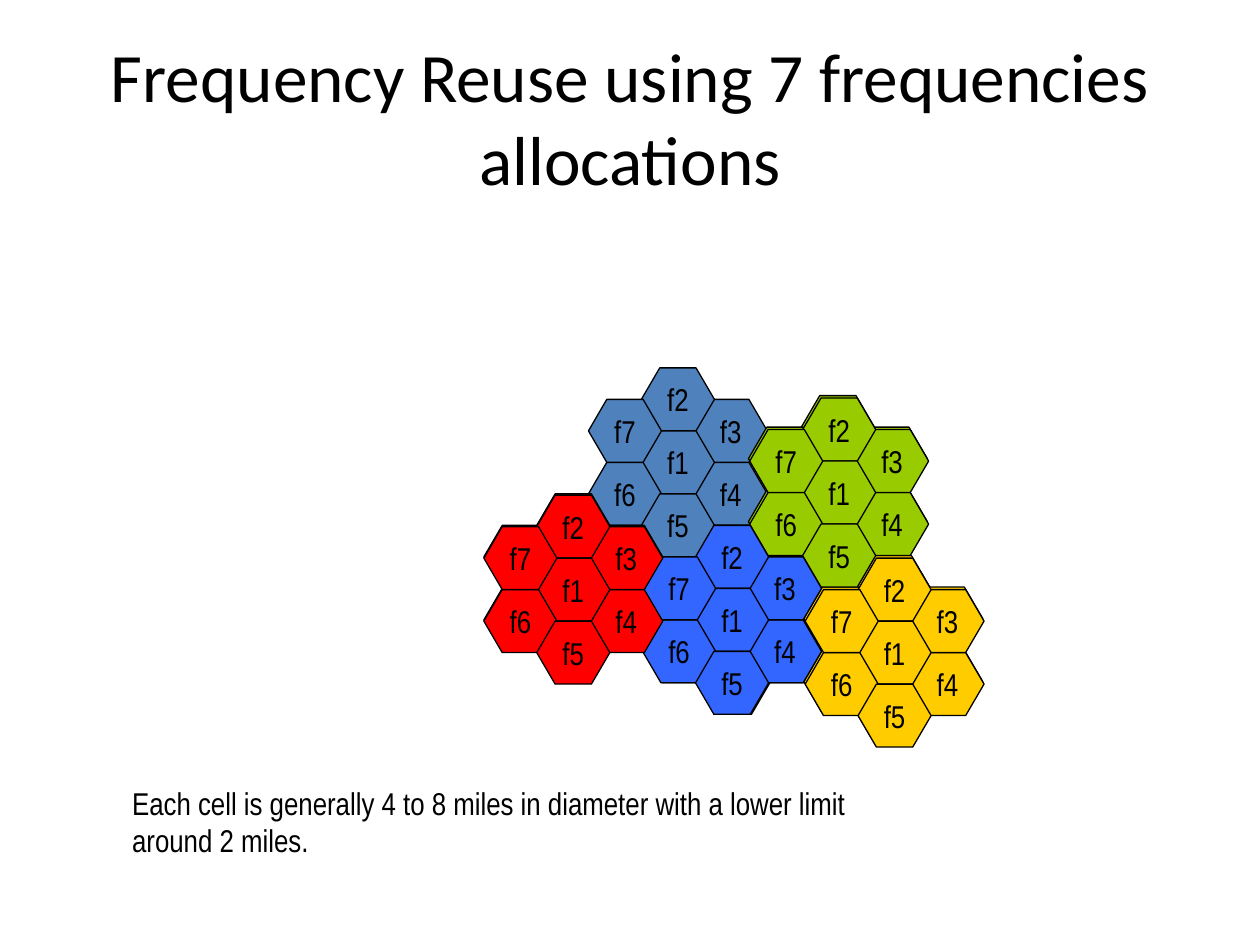
import dataclasses
import typing

import pptx
import pptx.dml.color
import pptx.enum.shapes
import pptx.enum.text
import pptx.util

PX = 9144  # EMU in one px, 100 px to the inch


@dataclasses.dataclass(frozen=True)
class Theme:
    ink: str = "000000"
    steel: str = "4F81BD"
    green: str = "99CC00"
    blue: str = "3366FF"
    red: str = "FF0000"
    amber: str = "FFCC00"
    title_font: str = "Calibri"
    text_font: str = "Arial Narrow"
    title_size: float = 39.6
    text_size: float = 18
    outline: float = 0.75


class Cluster(typing.NamedTuple):
    """Seven cells; left and top bound the whole cluster."""
    left: int
    top: int
    color: str
    labelled: bool
    grouped: bool


class Cell(typing.NamedTuple):
    """A frequency and its place in columns and half rows."""
    label: str
    column: int
    half_row: int


THEME = Theme()
CELL_WIDTH, CELL_HEIGHT = 58, 50
COLUMN_STEP, HALF_ROW = 42, 25
CELL_SLANT = 0.292

CELLS = (
    Cell("f4", 2, 3), Cell("f3", 2, 1), Cell("f2", 1, 0), Cell("f1", 1, 2),
    Cell("f6", 0, 3), Cell("f7", 0, 1), Cell("f5", 1, 4),
)

# Back to front: the grouped cells first, then the labelled ones over them
CLUSTERS = (
    Cluster(467, 292, THEME.steel, True, True),
    Cluster(594, 314, THEME.green, False, True),
    Cluster(511, 417, THEME.blue, False, True),
    Cluster(384, 392, THEME.red, False, True),
    Cluster(638, 441, THEME.amber, False, True),
    Cluster(595, 316, THEME.green, True, False),
    Cluster(639, 443, THEME.amber, True, False),
    Cluster(510, 417, THEME.blue, True, False),
    Cluster(384, 393, THEME.red, True, False),
)


def rgb(color: str) -> pptx.dml.color.RGBColor:
    return pptx.dml.color.RGBColor.from_string(color)


def set_values(target: typing.Any, values: dict[str, typing.Any]) -> None:
    for name, value in values.items():
        setattr(target, name, value)


def bounds(left: int, top: int, width: int, height: int) -> dict[str, int]:
    return {"left": left * PX, "top": top * PX,
            "width": width * PX, "height": height * PX}


def write(shape: typing.Any, lines: tuple[str, ...], font: str, size: float,
          align: typing.Any, frame_values: dict[str, typing.Any]) -> None:
    frame = shape.text_frame
    set_values(frame, frame_values)
    for index, line in enumerate(lines):
        para = frame.paragraphs[0] if index == 0 else frame.add_paragraph()
        para.alignment = align
        span = para.add_run()
        span.text = line
        set_values(span.font, {"name": font, "size": pptx.util.Pt(size)})
        span.font.color.rgb = rgb(THEME.ink)


def draw_cell(shapes: typing.Any, cluster: Cluster, cell: Cell) -> None:
    hexagon = shapes.add_shape(
        pptx.enum.shapes.MSO_SHAPE.HEXAGON,
        **bounds(cluster.left + cell.column * COLUMN_STEP,
                 cluster.top + cell.half_row * HALF_ROW,
                 CELL_WIDTH, CELL_HEIGHT))
    hexagon.adjustments[0] = CELL_SLANT
    hexagon.shadow.inherit = False
    hexagon.fill.solid()
    hexagon.fill.fore_color.rgb = rgb(cluster.color)
    hexagon.line.color.rgb = rgb(THEME.ink)
    hexagon.line.width = pptx.util.Pt(THEME.outline)
    if cluster.labelled:
        write(hexagon, (cell.label,), THEME.text_font, THEME.text_size,
              pptx.enum.text.PP_ALIGN.CENTER,
              {"word_wrap": False,
               "vertical_anchor": pptx.enum.text.MSO_ANCHOR.MIDDLE})


def draw_cluster(page: typing.Any, cluster: Cluster) -> None:
    shapes = page.shapes.add_group_shape().shapes if cluster.grouped else page.shapes
    for cell in CELLS:
        draw_cell(shapes, cluster, cell)


def main() -> None:
    deck = pptx.Presentation()
    set_values(deck, {"slide_width": 1000 * PX, "slide_height": 750 * PX})
    page = deck.slides.add_slide(deck.slide_layouts.get_by_name("Title Only"))

    # Title
    title = page.shapes.title
    set_values(title, bounds(50, 30, 900, 125))
    write(title, ("Frequency Reuse using 7 frequencies allocations",),
          THEME.title_font, THEME.title_size, pptx.enum.text.PP_ALIGN.CENTER,
          {"word_wrap": True,
           "auto_size": pptx.enum.text.MSO_AUTO_SIZE.NONE,
           "vertical_anchor": pptx.enum.text.MSO_ANCHOR.MIDDLE})

    # Cell clusters
    for cluster in CLUSTERS:
        draw_cluster(page, cluster)

    # Note on cell size
    note = page.shapes.add_textbox(**bounds(95, 617, 785, 90))
    write(note,
          ("Each cell is generally 4 to 8 miles in diameter with a lower limit",
           "around 2 miles."),
          THEME.text_font, THEME.text_size, pptx.enum.text.PP_ALIGN.LEFT,
          {"word_wrap": False,
           "auto_size": pptx.enum.text.MSO_AUTO_SIZE.SHAPE_TO_FIT_TEXT})

    deck.save("out.pptx")


if __name__ == "__main__":
    main()
